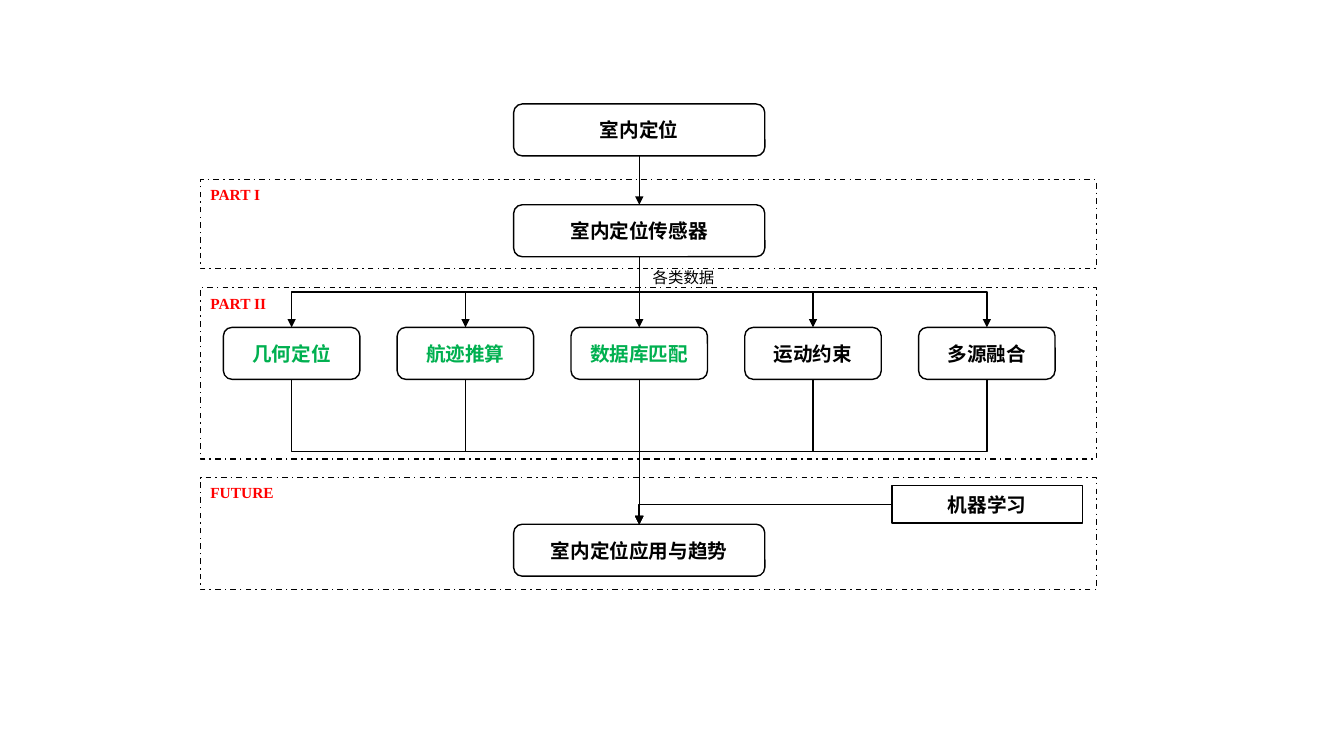
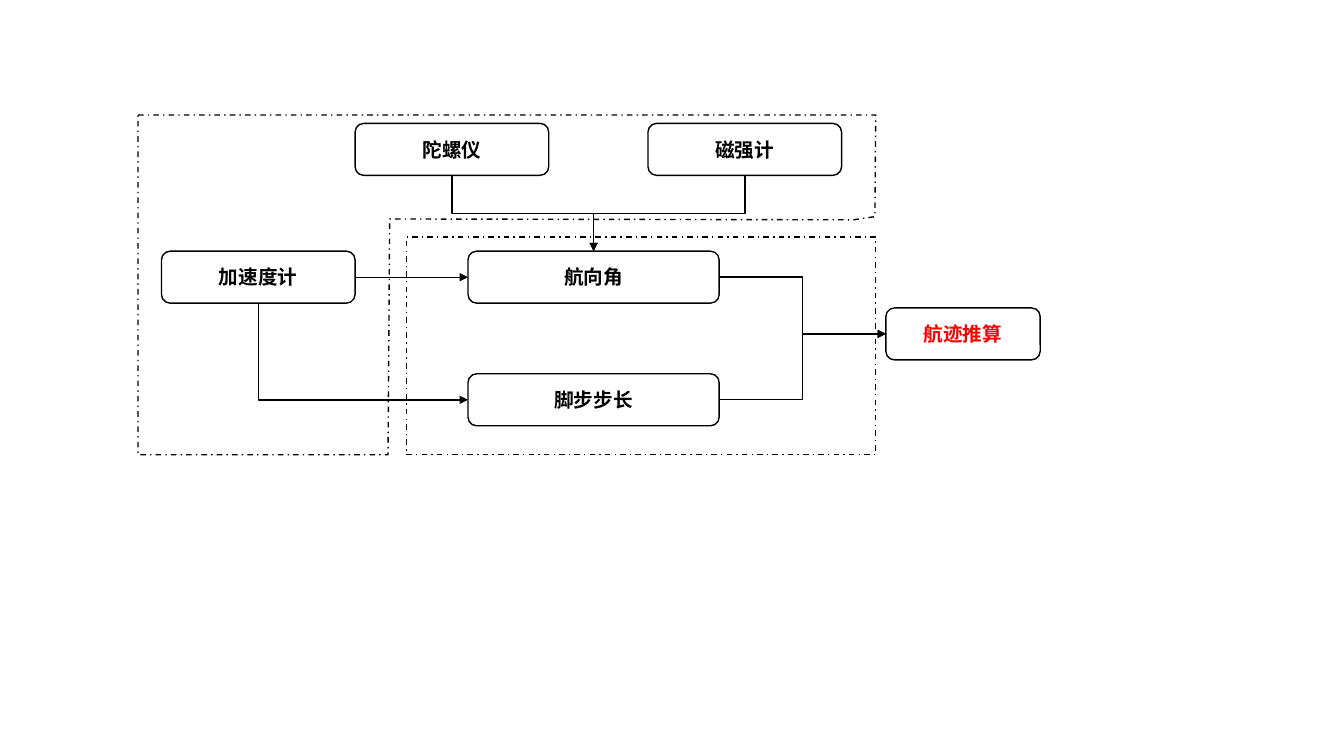
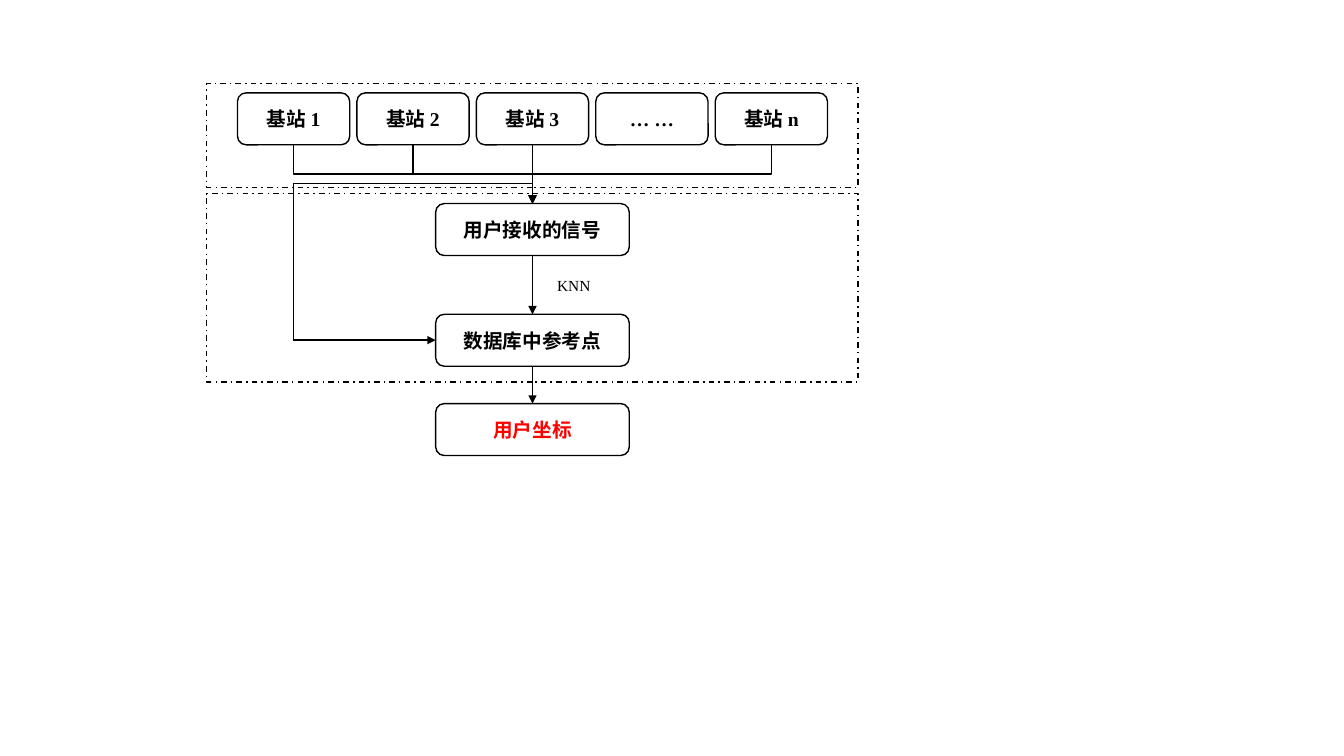
from dataclasses import dataclass
from enum import IntEnum
from typing import Optional

from lxml.etree import SubElement
from pptx import Presentation
from pptx.dml.color import RGBColor
from pptx.enum.dml import MSO_LINE
from pptx.enum.shapes import MSO_CONNECTOR as Route, MSO_SHAPE as Preset
from pptx.enum.text import MSO_ANCHOR as Anchor, PP_ALIGN as Align
from pptx.oxml.ns import qn
from pptx.util import Cm, Pt

# Shared style
BLACK = RGBColor(0x00, 0x00, 0x00)
GREEN = RGBColor(0x00, 0xB0, 0x50)
RED = RGBColor(0xFF, 0x00, 0x00)
LATIN_FONT = "Times New Roman"
EAST_ASIAN_FONT = "Noto Sans CJK SC"
LINE_WIDTH = Pt(1)
NODE_SIZE, LABEL_SIZE = Pt(14), Pt(11)
NODE_HEIGHT = 1.31
WIDE, MEDIUM = 6.33, 4.88
BLANK_LAYOUT = 6


class Side(IntEnum):
    """Connection sites of a rectangle."""
    TOP = 0
    LEFT = 1
    BOTTOM = 2
    RIGHT = 3


# Lengths in these classes are centimetres
@dataclass(frozen=True)
class Node:
    text: str
    center: float
    top: float
    width: float
    color: RGBColor = BLACK
    height: float = NODE_HEIGHT
    preset: Preset = Preset.ROUNDED_RECTANGLE
    font: str = LATIN_FONT


@dataclass(frozen=True)
class Frame:
    left: float
    top: float
    width: float
    height: float


@dataclass(frozen=True)
class Label:
    text: str
    left: float
    top: float
    color: RGBColor = BLACK
    bold: bool = False


def format_text(paragraph, text: str, size, color: RGBColor, bold: bool,
                name: str = LATIN_FONT) -> None:
    paragraph.text = text
    font = paragraph.font
    font.size, font.bold = size, bold
    font.color.rgb = color
    font.name = name
    properties = paragraph._p.pPr.find(qn("a:defRPr"))
    SubElement(properties, qn("a:ea")).set("typeface", EAST_ASIAN_FONT)


def style_outline(shape, dashed: bool = False) -> None:
    shape.shadow.inherit = False
    shape.fill.background()
    shape.line.color.rgb = BLACK
    shape.line.width = LINE_WIDTH
    if dashed:
        shape.line.dash_style = MSO_LINE.DASH_DOT


def draw_node(slide, node: Node):
    shape = slide.shapes.add_shape(
        node.preset, Cm(node.center - node.width / 2), Cm(node.top),
        Cm(node.width), Cm(node.height))
    style_outline(shape)
    frame = shape.text_frame
    frame.word_wrap = True
    frame.vertical_anchor = Anchor.MIDDLE
    paragraph = frame.paragraphs[0]
    paragraph.alignment = Align.CENTER
    format_text(paragraph, node.text, NODE_SIZE, node.color, True, node.font)
    return shape


def draw_frame(slide, frame: Frame) -> None:
    shape = slide.shapes.add_shape(
        Preset.RECTANGLE, Cm(frame.left), Cm(frame.top),
        Cm(frame.width), Cm(frame.height))
    style_outline(shape, dashed=True)


def draw_label(slide, label: Label) -> None:
    box = slide.shapes.add_textbox(
        Cm(label.left), Cm(label.top), Cm(2.95), Cm(0.74))
    box.text_frame.word_wrap = True
    format_text(box.text_frame.paragraphs[0], label.text, LABEL_SIZE,
                label.color, label.bold)


def style_connector(connector, arrow: bool = True) -> None:
    connector.line.color.rgb = BLACK
    connector.line.width = LINE_WIDTH
    properties = connector._element.spPr
    if arrow:
        line = properties.find(qn("a:ln"))
        SubElement(line, qn("a:tailEnd")).set("type", "triangle")
    SubElement(properties, qn("a:effectLst"))


def turn_vertical(connector) -> None:
    """Rotate an elbow so that it leaves its start downwards."""
    left, top = connector.left, connector.top
    width, height = connector.width, connector.height
    rightwards = connector.end_x > connector.begin_x
    connector.left = left + (width - height) // 2
    connector.top = top + (height - width) // 2
    connector.width, connector.height = height, width
    transform = connector._element.spPr.find(qn("a:xfrm"))
    transform.set("rot", "16200000" if rightwards else "5400000")
    transform.set("flipH", "1" if rightwards else "0")
    transform.set("flipV", "0")


def connect(slide, start, end, leave: Side = Side.BOTTOM,
            enter: Side = Side.TOP) -> None:
    """Join two shapes, with a straight arrow where they are aligned."""
    connector = slide.shapes.add_connector(Route.ELBOW, 0, 0, 0, 0)
    connector.begin_connect(start, leave)
    connector.end_connect(end, enter)
    geometry = connector._element.spPr.find(qn("a:prstGeom"))
    if min(connector.width, connector.height) < Cm(0.02):
        geometry.set("prst", "straightConnector1")
    else:
        vertical_start = leave in (Side.TOP, Side.BOTTOM)
        vertical_end = enter in (Side.TOP, Side.BOTTOM)
        if vertical_start != vertical_end:
            geometry.set("prst", "bentConnector2")
        if vertical_start:
            turn_vertical(connector)
    style_connector(connector)


def draw_route(slide, points: list[tuple[float, float]]) -> None:
    """Draw straight segments that end in one arrowhead."""
    for index, (start, end) in enumerate(zip(points, points[1:]), 2):
        connector = slide.shapes.add_connector(
            Route.STRAIGHT, *map(Cm, start), *map(Cm, end))
        style_connector(connector, arrow=index == len(points))


def draw_outline(slide, points: list[tuple[float, float]]) -> None:
    corners = [(Cm(x), Cm(y)) for x, y in points]
    builder = slide.shapes.build_freeform(*corners[0])
    builder.add_line_segments(corners[1:], close=True)
    style_outline(builder.convert_to_shape(), dashed=True)


def draw_row(slide, texts: list[str], center: float, pitch: float, top: float,
             width: float, colors: Optional[dict[str, RGBColor]] = None) -> list:
    """Draw equally spaced nodes around a centre line."""
    first = center - pitch * (len(texts) - 1) / 2
    return [draw_node(slide, Node(text, first + pitch * index, top, width,
                                  (colors or {}).get(text, BLACK)))
            for index, text in enumerate(texts)]


def build_overview(slide) -> None:
    axis = 16.11
    # Main nodes
    topic, sensors, trends = [
        draw_node(slide, Node(text, axis, top, WIDE))
        for text, top in [("室内定位", 2.62), ("室内定位传感器", 5.16),
                          ("室内定位应用与趋势", 13.21)]]
    learning = draw_node(slide, Node(
        "机器学习", 24.88, 12.24, 4.8, height=0.94,
        preset=Preset.RECTANGLE, font=EAST_ASIAN_FONT))
    # Positioning methods
    methods = draw_row(
        slide, ["几何定位", "航迹推算", "数据库匹配", "运动约束", "多源融合"],
        axis, 4.38, 8.25, 3.44,
        dict.fromkeys(["几何定位", "航迹推算", "数据库匹配"], GREEN))
    # Arrows
    connect(slide, topic, sensors)
    for method in methods:
        connect(slide, sensors, method)
        connect(slide, method, trends)
    connect(slide, learning, trends, Side.LEFT, Side.TOP)
    # Parts and labels
    for top, height in [(4.53, 2.24), (7.25, 4.32), (12.04, 2.82)]:
        draw_frame(slide, Frame(5.05, top, 22.58, height))
    for text, top in [("PART I", 4.53), ("PART II", 7.29), ("FUTURE", 12.04)]:
        draw_label(slide, Label(text, 5.05, top, RED, bold=True))
    draw_label(slide, Label("各类数据", 16.2, 6.63))


def build_dead_reckoning(slide) -> None:
    # Sensors
    gyroscope, magnetometer, accelerometer = [
        draw_node(slide, Node(text, center, top, MEDIUM))
        for text, center, top in [("陀螺仪", 11.39, 3.11), ("磁强计", 18.77, 3.11),
                                  ("加速度计", 6.51, 6.33)]]
    # Derived quantities
    heading, step = [draw_node(slide, Node(text, 14.96, top, WIDE))
                     for text, top in [("航向角", 6.33), ("脚步步长", 9.42)]]
    result = draw_node(slide, Node("航迹推算", 24.27, 7.76, 3.89, RED))
    # Arrows
    for sensor in (gyroscope, magnetometer):
        connect(slide, sensor, heading)
    connect(slide, accelerometer, heading, Side.RIGHT, Side.LEFT)
    connect(slide, accelerometer, step, Side.BOTTOM, Side.LEFT)
    for quantity in (heading, step):
        connect(slide, quantity, result, Side.RIGHT, Side.LEFT)
    # Group outlines
    draw_outline(slide, [(3.48, 2.9), (22.07, 2.9), (22.05, 5.46), (21.51, 5.54),
                         (9.82, 5.52), (9.78, 11.46), (3.48, 11.46)])
    draw_frame(slide, Frame(10.24, 5.97, 11.83, 5.49))


def build_database_matching(slide) -> None:
    axis = 13.42
    # Base stations
    stations = draw_row(slide, ["基站 1", "基站 2", "基站 3", "… …", "基站 n"],
                        axis, 3.01, 2.34, 2.83)
    # Matching steps
    signal, reference, position = [
        draw_node(slide, Node(text, axis, top, MEDIUM, color))
        for text, top, color in [("用户接收的信号", 5.13, BLACK),
                                 ("数据库中参考点", 7.92, BLACK),
                                 ("用户坐标", 10.17, RED)]]
    # Arrows
    for index, station in enumerate(stations):
        if index != 3:
            connect(slide, station, signal)
    connect(slide, signal, reference)
    connect(slide, reference, position)
    draw_route(slide, [(axis, 4.62), (7.39, 4.62), (7.39, 8.57),
                       (axis - MEDIUM / 2, 8.57)])
    # Groups and label
    for top, height in [(2.1, 2.62), (4.88, 4.75)]:
        draw_frame(slide, Frame(5.21, top, 16.41, height))
    draw_label(slide, Label("KNN", 13.79, 6.83))


def main() -> None:
    presentation = Presentation()
    presentation.slide_width, presentation.slide_height = Cm(33.87), Cm(19.05)
    layout = presentation.slide_layouts[BLANK_LAYOUT]
    for build in (build_overview, build_dead_reckoning, build_database_matching):
        build(presentation.slides.add_slide(layout))
    presentation.save("out.pptx")


if __name__ == "__main__":
    main()
